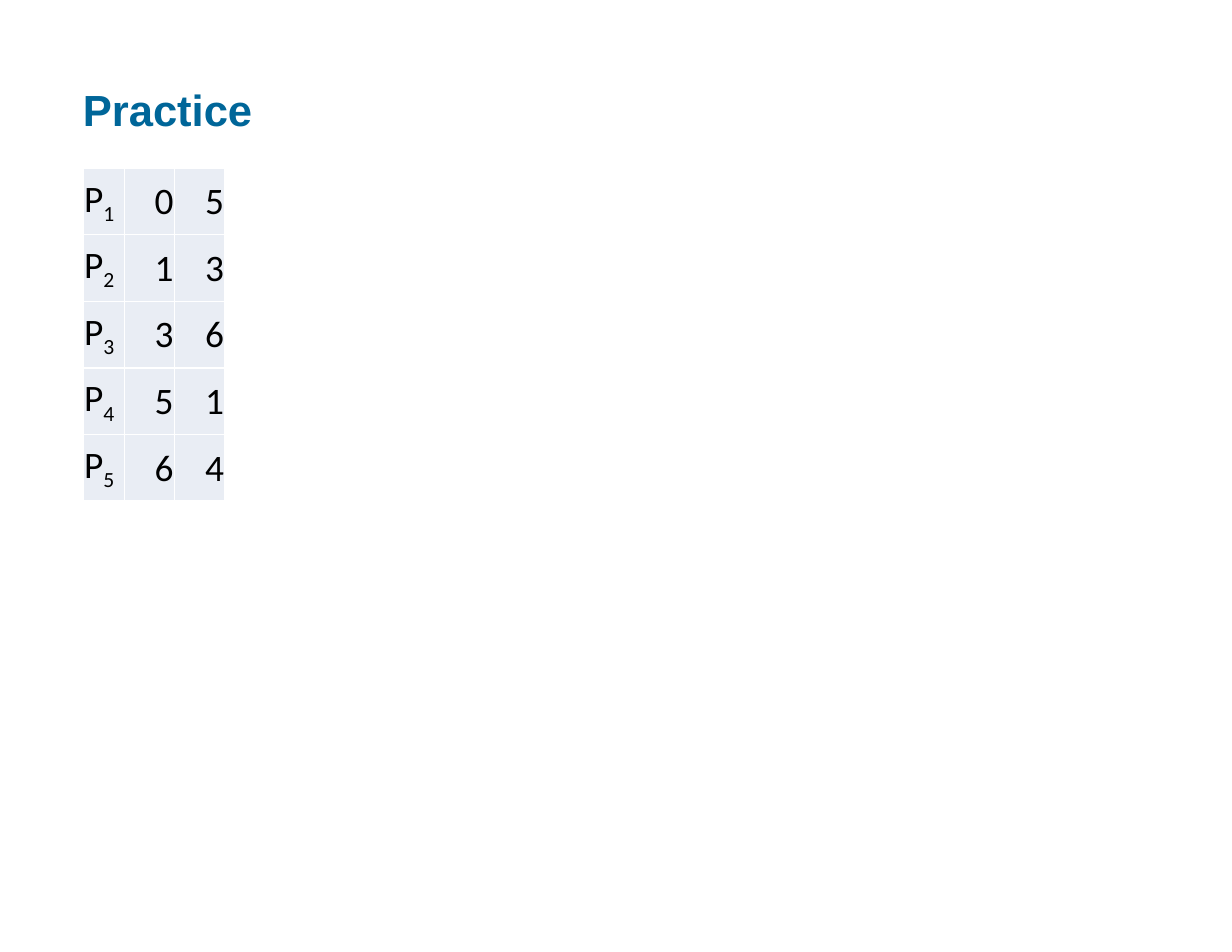
from lxml.etree import SubElement
from pptx import Presentation
from pptx.dml.color import RGBColor
from pptx.enum.text import MSO_ANCHOR as Anchor, PP_ALIGN as Align
from pptx.oxml.ns import qn
from pptx.util import Inches, Pt

TITLE_BLUE = RGBColor(0x00, 0x66, 0x99)
CELL_TINT = RGBColor(0xE9, 0xED, 0xF4)
BLACK = RGBColor(0x00, 0x00, 0x00)
WHITE = RGBColor(0xFF, 0xFF, 0xFF)

WIDTH, HEIGHT = 11, 8.5
LEFT = 0.74
PROCESSES = [(0, 5), (1, 3), (3, 6), (5, 1), (6, 4)]


class PracticeSlide:
    """Holds the style and the current slide, with lengths in inches on its grid."""

    def __init__(self, deck):
        self.slide = deck.slides.add_slide(deck.slide_layouts[6])
        self.title_style = ("Arial", 28, TITLE_BLUE, True)
        self.cell_style = ("Calibri", 24, BLACK, False)

    def set_font(self, paragraph, style):
        font = paragraph.font
        font.name, size, font.color.rgb, font.bold = style[0], style[1], style[2], style[3]
        font.size = Pt(size)

    def title(self, wording, left, top, width, height):
        heading = self.slide.shapes.add_textbox(*map(Inches, (left, top, width, height)))
        frame = heading.text_frame
        frame.word_wrap = True
        frame.margin_left = frame.margin_right = frame.margin_top = frame.margin_bottom = 0
        frame.text = wording
        self.set_font(frame.paragraphs[0], self.title_style)

    def borders(self, cell):
        properties = cell._tc.get_or_add_tcPr()
        for side in ("a:lnL", "a:lnR", "a:lnT", "a:lnB"):
            line = SubElement(properties, qn(side), w=str(Pt(1)))
            paint = SubElement(line, qn("a:solidFill"))
            SubElement(paint, qn("a:srgbClr"), val=str(WHITE))

    def cell(self, cell, wording, subscript=None):
        self.borders(cell)
        cell.fill.solid()
        cell.fill.fore_color.rgb = CELL_TINT
        cell.vertical_anchor = Anchor.MIDDLE
        cell.margin_left = cell.margin_right = cell.margin_top = Inches(0.01)
        cell.margin_bottom = 0
        paragraph = cell.text_frame.paragraphs[0]
        paragraph.add_run().text = wording
        if subscript is None:
            paragraph.alignment = Align.RIGHT
        else:
            index = paragraph.add_run()
            index.text = subscript
            index._r.get_or_add_rPr().set("baseline", "-25000")
        self.set_font(paragraph, self.cell_style)

    def process_table(self, processes, left, top, columns, row_height):
        size = (sum(columns), row_height * len(processes))
        table = self.slide.shapes.add_table(
            len(processes), len(columns), *map(Inches, (left, top, *size))
        ).table
        table.first_row = table.horz_banding = False
        for column, width in zip(table.columns, columns):
            column.width = Inches(width)
        for number, times in enumerate(processes):
            table.rows[number].height = Inches(row_height)
            self.cell(table.cell(number, 0), "P", str(number + 1))
            for position, time in enumerate(times, 1):
                self.cell(table.cell(number, position), str(time))


def main():
    deck = Presentation()
    deck.slide_width, deck.slide_height = Inches(WIDTH), Inches(HEIGHT)
    practice = PracticeSlide(deck)
    practice.title("Practice", LEFT, LEFT, WIDTH - 2 * LEFT, 0.47)
    practice.process_table(PROCESSES, LEFT, 1.5, (0.37, 0.45, 0.45), 0.595)
    deck.save("out.pptx")


if __name__ == "__main__":
    main()
